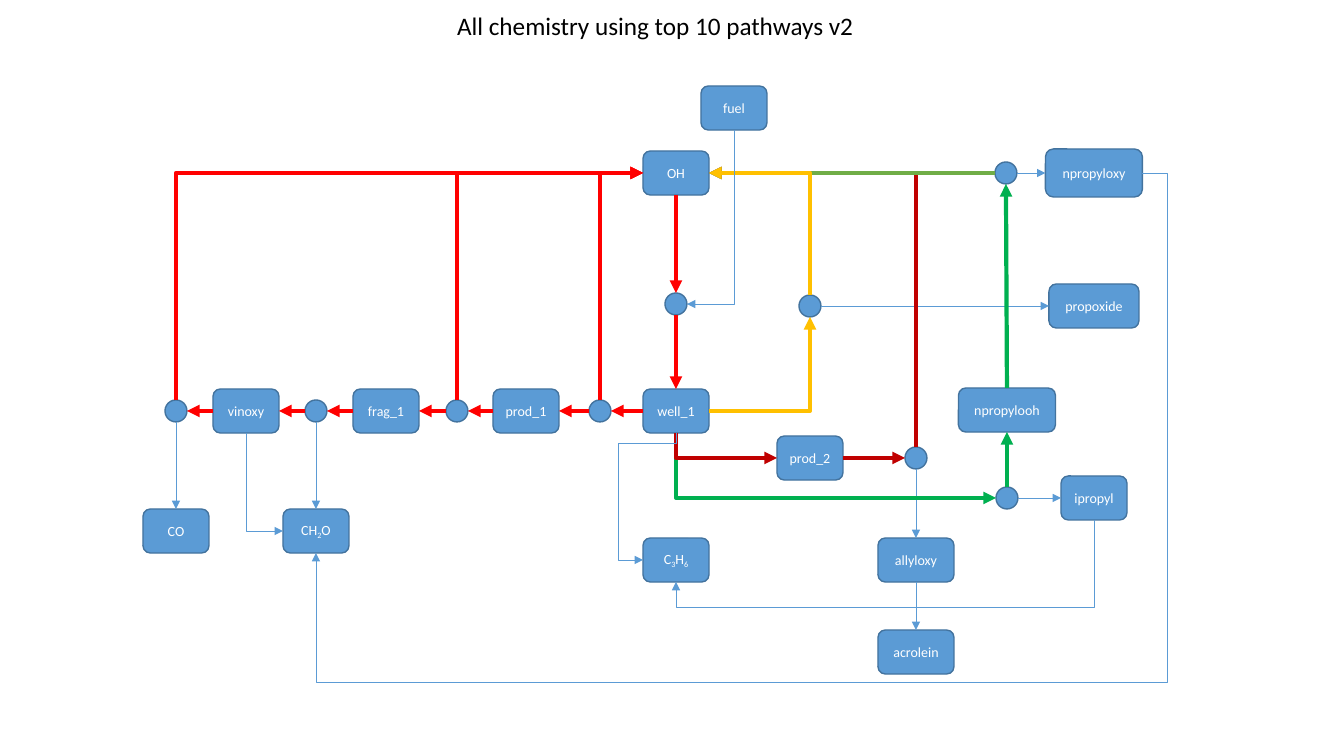
from dataclasses import dataclass
from lxml import etree
from pptx import Presentation
from pptx import util as u
from pptx.dml.color import RGBColor
from pptx.enum import shapes, text
from pptx.oxml.ns import qn


@dataclass(frozen=True)
class Theme:
    font: str = "Calibri"
    title_size: int = 18
    label_size: int = 10
    title: str = "000000"
    label: str = "FFFFFF"
    fill: str = "5B9BD5"
    outline: str = "43739E"
    red: str = "FF0000"
    dark_red: str = "C00000"
    amber: str = "FFC000"
    green: str = "00B050"
    light_green: str = "70AD47"
    thin: float = 0.5
    thick: float = 3
    border: float = 1


theme = Theme()
SCALE = 914400 / 100.8


def px(value):
    return u.Emu(round(value * SCALE))


def write(para, content, size, color):
    span = para.add_run()
    span.text = content
    span.font.name = theme.font
    span.font.size = u.Pt(size)
    span.font.color.rgb = RGBColor.from_string(color)
    return span


deck = Presentation()
deck.slide_width, deck.slide_height = px(1344), px(756)
page = deck.slides.add_slide(deck.slide_layouts[5])

title = page.shapes.title
title.left, title.top, title.width, title.height = px(447), px(5), px(421), px(40)
frame = title.text_frame
frame.word_wrap = False
frame.auto_size = text.MSO_AUTO_SIZE.NONE
frame.vertical_anchor = text.MSO_ANCHOR.MIDDLE
frame.paragraphs[0].alignment = text.PP_ALIGN.LEFT
write(frame.paragraphs[0], "All chemistry using top 10 pathways v2", theme.title_size, theme.title)

species = {
    "prod_1": (526, 411, 66, 44),
    "frag_1": (386, 411, 66, 44),
    "vinoxy": (246, 411, 66, 44),
    "CH|2|O": (316, 531, 66, 44),
    "CO": (176, 531, 66, 44),
    "well_1": (676, 411, 66, 44),
    "ipropyl": (1094, 498, 66, 44),
    "C|3|H|6": (676, 560, 66, 44),
    "prod_2": (810, 458, 66, 44),
    "allyloxy": (916, 560, 76, 44),
    "acrolein": (916, 652, 76, 44),
    "propoxide": (1094, 306, 90, 44),
    "npropylooh": (1007, 410, 97, 44),
    "npropyloxy": (1094, 173, 97, 48),
    "OH": (676, 173, 66, 44),
    "fuel": (734, 108, 66, 44),
}
reactions = {
    "to_CO": (176, 411),
    "to_CH2O": (316, 411),
    "to_frag_1": (457, 411),
    "to_prod_1": (600, 411),
    "to_ipropyl": (1007, 498),
    "to_propoxide": (810, 306),
    "to_allyloxy": (916, 458),
    "to_npropyloxy": (1006, 173),
    "to_well_1": (676, 304),
}
nodes = species | {name: (*centre, 22, 22) for name, centre in reactions.items()}

for name, (x, y, width, height) in nodes.items():
    kind = shapes.MSO_SHAPE.ROUNDED_RECTANGLE if name in species else shapes.MSO_SHAPE.OVAL
    box = page.shapes.add_shape(kind, px(x - width / 2), px(y - height / 2), px(width), px(height))
    box.shadow.inherit = False
    box.fill.solid()
    box.fill.fore_color.rgb = RGBColor.from_string(theme.fill)
    box.line.color.rgb = RGBColor.from_string(theme.outline)
    box.line.width = u.Pt(theme.border)
    if name in species:
        box.text_frame.vertical_anchor = text.MSO_ANCHOR.MIDDLE
        para = box.text_frame.paragraphs[0]
        para.alignment = text.PP_ALIGN.CENTER
        for index, piece in enumerate(name.split("|")):
            span = write(para, piece, theme.label_size, theme.label)
            if index % 2:
                span.font._element.set("baseline", "-25000")

sides = {"left": (-0.5, 0), "right": (0.5, 0), "top": (0, -0.5), "bottom": (0, 0.5)}
routes = [
    ("to_well_1 bottom", "well_1 top", theme.red),
    ("vinoxy left", "to_CO right", theme.red),
    ("frag_1 left", "to_CH2O right", theme.red),
    ("to_CH2O left", "vinoxy right", theme.red),
    ("prod_1 left", "to_frag_1 right", theme.red),
    ("to_frag_1 left", "frag_1 right", theme.red),
    ("well_1 left", "to_prod_1 right", theme.red),
    ("to_prod_1 left", "prod_1 right", theme.red),
    ("to_ipropyl top", "npropylooh bottom", theme.green),
    ("to_ipropyl right", "ipropyl left", theme.fill),
    ("to_propoxide right", "propoxide left", theme.fill),
    ("npropylooh top", "to_npropyloxy bottom", theme.green),
    ("prod_2 right", "to_allyloxy left", theme.dark_red),
    ("to_allyloxy bottom", "allyloxy top", theme.fill),
    ("allyloxy bottom", "acrolein top", theme.fill),
    ("to_allyloxy top", "OH right", theme.dark_red, 2),
    ("vinoxy bottom", "CH|2|O left", theme.fill, 2),
    ("well_1 right", "to_propoxide bottom", theme.amber, 2),
    ("to_prod_1 top", "OH left", theme.red, 2),
    ("to_frag_1 top", "OH left", theme.red, 2),
    ("to_npropyloxy left", "OH right", theme.light_green),
    ("to_propoxide top", "OH right", theme.amber, 2),
    ("OH bottom", "to_well_1 top", theme.red),
    ("to_CO top", "OH left", theme.red, 2),
    ("to_CO bottom", "CO top", theme.fill),
    ("fuel bottom", "to_well_1 right", theme.fill, 2),
    ("well_1 bottom", "to_ipropyl left", theme.green, 2),
    ("well_1 bottom", "prod_2 left", theme.dark_red, 2),
    ("to_CH2O bottom", "CH|2|O top", theme.fill),
    ("to_npropyloxy right", "npropyloxy left", theme.fill),
    ("npropyloxy right", "CH|2|O bottom", theme.fill, 4, -0.03, 1.34),
    ("ipropyl bottom", "C|3|H|6 bottom", theme.fill, 3, 1.41),
    ("well_1 bottom", "C|3|H|6 left", theme.fill, 4, 0.08, 1.76),
]

for start, end, color, *bend in routes:
    points = []
    for stop in (start, end):
        name, side = stop.split()
        x, y, width, height = nodes[name]
        across, down = sides[side]
        points += [x + across * width, y + down * height]
    x1, y1, x2, y2 = points
    kind = shapes.MSO_CONNECTOR.STRAIGHT
    if bend:
        kind = shapes.MSO_CONNECTOR.ELBOW
        width, height = abs(x2 - x1), abs(y2 - y1)
        flips, turn = (x2 < x1, y2 < y1), 0
        if start.endswith(("top", "bottom")):
            width, height = height, width
            flips, turn = (y2 < y1, x2 > x1), 90
            if flips[0] != flips[1]:
                flips, turn = flips[::-1], 270
        middle_x, middle_y = (x1 + x2) / 2, (y1 + y2) / 2
        x1, x2 = middle_x - width / 2, middle_x + width / 2
        y1, y2 = middle_y - height / 2, middle_y + height / 2
    arrow = page.shapes.add_connector(kind, px(x1), px(y1), px(x2), px(y2))
    arrow.line.color.rgb = RGBColor.from_string(color)
    arrow.line.width = u.Pt(theme.thin if color == theme.fill else theme.thick)
    properties = arrow.element.spPr
    etree.SubElement(properties.find(qn("a:ln")), qn("a:tailEnd"), type="triangle")
    etree.SubElement(properties, qn("a:effectLst"))
    if bend:
        corners, *adjusts = bend
        placement = properties.find(qn("a:xfrm"))
        placement.set("rot", str(turn * 60000))
        placement.set("flipH", str(int(flips[0])))
        placement.set("flipV", str(int(flips[1])))
        geometry = properties.find(qn("a:prstGeom"))
        geometry.set("prst", f"bentConnector{corners}")
        for index, adjust in enumerate(adjusts, 1):
            etree.SubElement(geometry.find(qn("a:avLst")), qn("a:gd"),
                             name=f"adj{index}", fmla=f"val {round(adjust * 100000)}")

deck.save("out.pptx")
